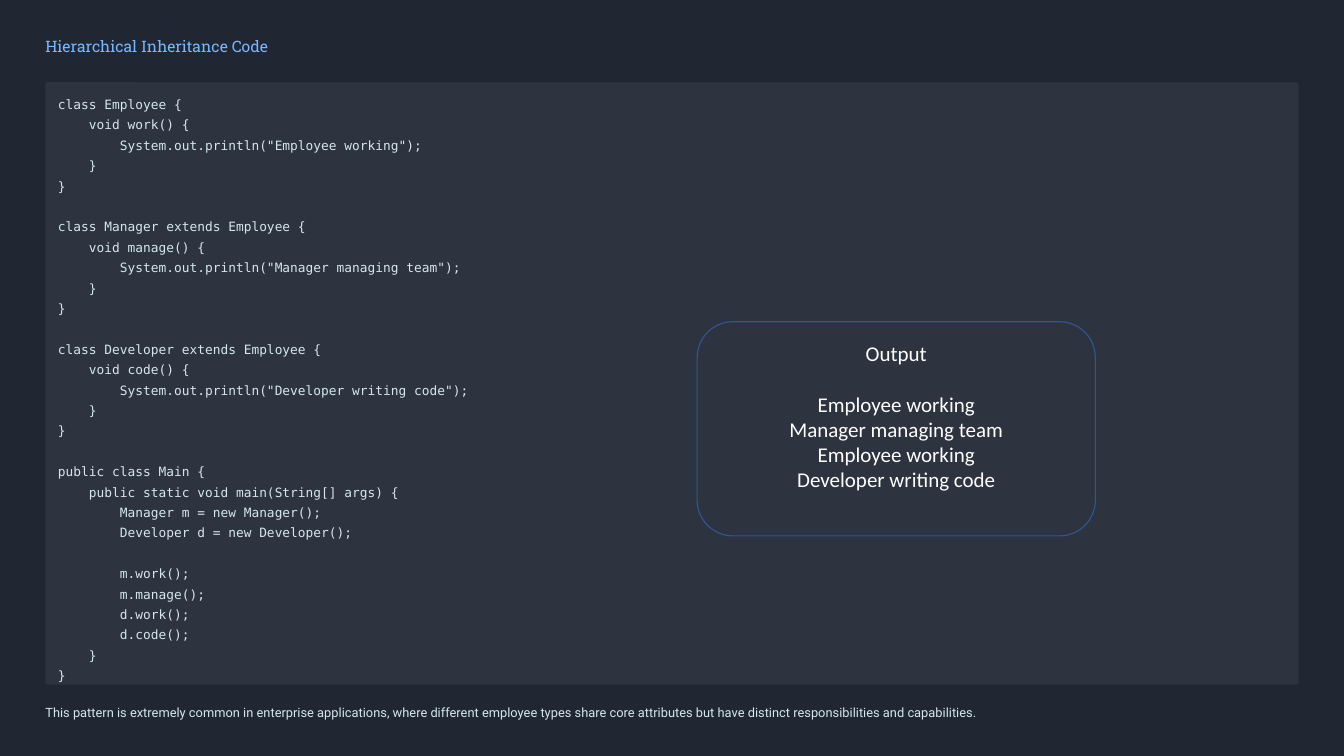
import pptx
import pptx.dml.color
import pptx.enum.shapes
import pptx.enum.text
import pptx.util

Inches = pptx.util.Inches
Pt = pptx.util.Pt
ROUNDED = pptx.enum.shapes.MSO_SHAPE.ROUNDED_RECTANGLE
ALIGN = pptx.enum.text.PP_ALIGN
ANCHOR = pptx.enum.text.MSO_ANCHOR

BACKDROP = "202733"
PANEL = "2D3440"
PALE = "D6E5EF"
ACCENT = "76B9FF"
OUTLINE = "325491"
WHITE = "FFFFFF"

MARGIN = 0.54
CONTENT_WIDTH = 14.92
LINE_PITCH = 17.5

CODE_BLOCKS = [
    """class Employee {
    void work() {
        System.out.println("Employee working");
    }
}""",
    """class Manager extends Employee {
    void manage() {
        System.out.println("Manager managing team");
    }
}""",
    """class Developer extends Employee {
    void code() {
        System.out.println("Developer writing code");
    }
}""",
    """public class Main {
    public static void main(String[] args) {
        Manager m = new Manager();
        Developer d = new Developer();""",
    """        m.work();
        m.manage();
        d.work();
        d.code();
    }
}""",
]

OUTPUT_LINES = [
    "Output",
    "Employee working",
    "Manager managing team",
    "Employee working",
    "Developer writing code",
]


def rgb(value):
    return pptx.dml.color.RGBColor.from_string(value)


def prepare_frame(frame, wrap=True):
    frame.word_wrap = wrap
    frame.auto_size = pptx.enum.text.MSO_AUTO_SIZE.NONE
    frame.vertical_anchor = ANCHOR.TOP
    frame.margin_left = frame.margin_right = 0
    frame.margin_top = frame.margin_bottom = 0


def write_line(paragraph, text, font, size, color, pitch=None, align=ALIGN.LEFT):
    paragraph.text = text
    paragraph.alignment = align
    paragraph.line_spacing = Pt(pitch) if pitch else None
    paragraph.font.name = font
    paragraph.font.size = Pt(size)
    paragraph.font.color.rgb = rgb(color)


def next_paragraph(frame, index):
    return frame.add_paragraph() if index else frame.paragraphs[0]


def add_heading(slide, left, top, width, height):
    heading = slide.shapes.title
    heading.left, heading.top = Inches(left), Inches(top)
    heading.width, heading.height = Inches(width), Inches(height)
    prepare_frame(heading.text_frame, wrap=False)
    write_line(heading.text_frame.paragraphs[0], "Hierarchical Inheritance Code",
               "Roboto Slab", 13.5, ACCENT, 17)


def add_code_panel(slide, left, top, width, height):
    panel = slide.shapes.add_shape(
        ROUNDED, Inches(left), Inches(top), Inches(width), Inches(height))
    panel.adjustments[0] = 0.003
    panel.shadow.inherit = False
    panel.fill.solid()
    panel.fill.fore_color.rgb = rgb(PANEL)
    panel.line.fill.background()

    pad_x, pad_y = 0.15, 0.11
    listing = slide.shapes.add_textbox(
        Inches(left + pad_x), Inches(top + pad_y),
        Inches(width - 2 * pad_x), Inches(height - 2 * pad_y)).text_frame
    prepare_frame(listing)
    count = 0
    for block in CODE_BLOCKS:
        for row, code_line in enumerate(block.splitlines()):
            paragraph = next_paragraph(listing, count)
            write_line(paragraph, code_line, "DejaVu Sans Mono", 11, PALE, LINE_PITCH)
            if count and row == 0:
                paragraph.space_before = Pt(LINE_PITCH)
            count += 1


def add_output_box(slide, left, top, width, height):
    output = slide.shapes.add_shape(
        ROUNDED, Inches(left), Inches(top), Inches(width), Inches(height))
    output.shadow.inherit = False
    output.fill.background()
    output.line.color.rgb = rgb(OUTLINE)
    output.line.width = Pt(1)
    frame = output.text_frame
    frame.word_wrap = True
    frame.vertical_anchor = ANCHOR.MIDDLE
    frame.margin_bottom = Inches(0.35)
    for index, text in enumerate(OUTPUT_LINES):
        write_line(next_paragraph(frame, index), text, "Calibri", 18, WHITE,
                   align=ALIGN.CENTER)
    frame.paragraphs[0].space_after = Pt(22)


def add_remark(slide, left, top, width, height):
    remark = slide.shapes.add_textbox(
        Inches(left), Inches(top), Inches(width), Inches(height)).text_frame
    prepare_frame(remark)
    write_line(
        remark.paragraphs[0],
        "This pattern is extremely common in enterprise applications, where different "
        "employee types share core attributes but have distinct responsibilities and "
        "capabilities.",
        "Roboto", 11, PALE, LINE_PITCH)


def main():
    deck = pptx.Presentation()
    deck.slide_width, deck.slide_height = Inches(16), Inches(9)
    slide = deck.slides.add_slide(deck.slide_layouts.get_by_name("Title Only"))
    slide.background.fill.solid()
    slide.background.fill.fore_color.rgb = rgb(BACKDROP)

    add_heading(slide, MARGIN, 0.43, 2.74, 0.24)
    add_code_panel(slide, MARGIN, 0.98, CONTENT_WIDTH, 7.17)
    add_remark(slide, MARGIN, 8.33, CONTENT_WIDTH, 0.25)
    add_output_box(slide, 8.3, 3.83, 4.74, 2.55)
    deck.save("out.pptx")


if __name__ == "__main__":
    main()
